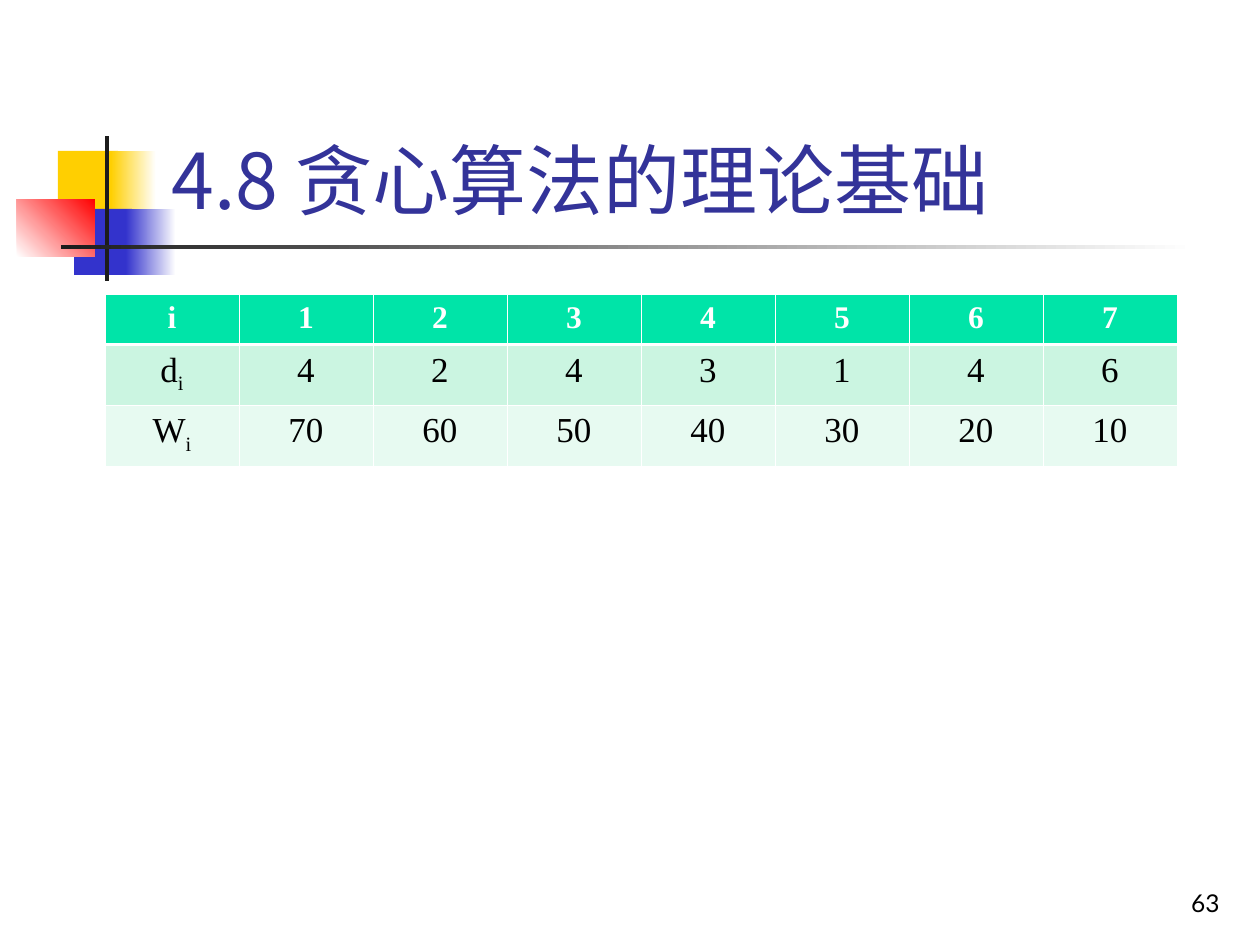
from dataclasses import dataclass
from typing import Optional

import pptx
import pptx.dml.color
import pptx.enum.shapes
import pptx.enum.text
import pptx.oxml.ns
import pptx.util
from lxml import etree

EMU_PER_PX = 914400 / 126
COLORS = {
    "yellow": "FFCF01",
    "blue": "3333CC",
    "red": "FF0000",
    "dark": "1C1C1C",
    "white": "FFFFFF",
    "black": "000000",
    "title": "333399",
    "header": "00E4A8",
    "band_dark": "CBF5E1",
    "band_light": "E7FAF1",
}
THIN, THICK = 0.45, 1.47
COLUMN_WIDTH = 134


@dataclass
class Block:
    left: int
    top: int
    width: int
    height: int
    color: str
    end_color: Optional[str] = None
    angle: int = 0


@dataclass
class TableRow:
    label: str
    subscript: str
    values: list[int]
    height: int
    fill: str
    text_color: str
    size: int
    bold: bool
    top_border: float
    bottom_border: float


BLOCKS = [
    Block(58, 151, 60, 66, "yellow"),
    Block(111, 151, 45, 66, "yellow", "white"),
    Block(74, 209, 58, 66, "blue"),
    Block(126, 209, 50, 66, "blue", "white"),
    Block(17, 199, 78, 58, "white", "red", 45),
    Block(105, 136, 4, 145, "dark"),
    Block(61, 245, 1134, 4, "dark", "white"),
]
ROWS = [
    TableRow("i", "", [1, 2, 3, 4, 5, 6, 7], 50, "header", "white", 18, True, THIN, THICK),
    TableRow("d", "i", [4, 2, 4, 3, 1, 4, 6], 60, "band_dark", "black", 20, False, THICK, THIN),
    TableRow("W", "i", [70, 60, 50, 40, 30, 20, 10], 61, "band_light", "black", 20, False, THIN, THIN),
]


def px(value: int) -> int:
    return round(value * EMU_PER_PX)


def rgb(name: str) -> pptx.dml.color.RGBColor:
    return pptx.dml.color.RGBColor.from_string(COLORS[name])


def set_font(paragraph, name: str, size: int, color: str, bold: bool = False) -> None:
    font = paragraph.font
    font.name = name
    font.size = pptx.util.Pt(size)
    font.bold = bold
    font.color.rgb = rgb(color)
    properties = paragraph._p.pPr.find(pptx.oxml.ns.qn("a:defRPr"))
    etree.SubElement(properties, pptx.oxml.ns.qn("a:ea"), typeface=name)


def draw_block(slide, block: Block) -> None:
    shape = slide.shapes.add_shape(
        pptx.enum.shapes.MSO_SHAPE.RECTANGLE,
        px(block.left), px(block.top), px(block.width), px(block.height),
    )
    shape.shadow.inherit = False
    shape.line.fill.background()
    if block.end_color is None:
        shape.fill.solid()
        shape.fill.fore_color.rgb = rgb(block.color)
        return
    shape.fill.gradient()
    shape.fill.gradient_angle = block.angle
    for stop, color, position in zip(
        shape.fill.gradient_stops, (block.color, block.end_color), (0, 1)
    ):
        stop.color.rgb = rgb(color)
        stop.position = position


def draw_title(slide, text: str) -> None:
    title = slide.shapes.title
    title.left, title.top, title.width, title.height = px(159), px(29), px(1074), px(202)
    frame = title.text_frame
    frame.text = text
    frame.vertical_anchor = pptx.enum.text.MSO_ANCHOR.BOTTOM
    paragraph = frame.paragraphs[0]
    paragraph.alignment = pptx.enum.text.PP_ALIGN.LEFT
    set_font(paragraph, "Noto Sans CJK SC", 44, "title")


def draw_page_number(slide, number: int) -> None:
    box = slide.shapes.add_textbox(px(970), px(861), px(262), px(63))
    frame = box.text_frame
    frame.word_wrap = True
    frame.vertical_anchor = pptx.enum.text.MSO_ANCHOR.BOTTOM
    paragraph = frame.paragraphs[0]
    paragraph.text = str(number)
    paragraph.alignment = pptx.enum.text.PP_ALIGN.RIGHT
    set_font(paragraph, "Lato", 14, "black")


def set_borders(cell, row: TableRow) -> None:
    properties = cell._tc.get_or_add_tcPr()
    widths = {"lnL": THIN, "lnR": THIN, "lnT": row.top_border, "lnB": row.bottom_border}
    for tag, width in widths.items():
        line = etree.SubElement(
            properties, pptx.oxml.ns.qn(f"a:{tag}"), w=str(int(pptx.util.Pt(width)))
        )
        fill = etree.SubElement(line, pptx.oxml.ns.qn("a:solidFill"))
        etree.SubElement(fill, pptx.oxml.ns.qn("a:srgbClr"), val=COLORS["white"])


def fill_cell(cell, row: TableRow, text: str, subscript: str = "") -> None:
    set_borders(cell, row)
    cell.fill.solid()
    cell.fill.fore_color.rgb = rgb(row.fill)
    paragraph = cell.text_frame.paragraphs[0]
    paragraph.alignment = pptx.enum.text.PP_ALIGN.CENTER
    paragraph.add_run().text = text
    if subscript:
        run = paragraph.add_run()
        run.text = subscript
        run._r.get_or_add_rPr().set("baseline", "-25000")
    set_font(paragraph, "Times New Roman", row.size, row.text_color, row.bold)


def draw_table(slide, rows: list[TableRow]) -> None:
    column_count = len(rows[0].values) + 1
    table = slide.shapes.add_table(
        len(rows), column_count, px(105), px(294),
        px(COLUMN_WIDTH * column_count), px(sum(row.height for row in rows)),
    ).table
    for column in table.columns:
        column.width = px(COLUMN_WIDTH)
    for row_index, row in enumerate(rows):
        table.rows[row_index].height = px(row.height)
        fill_cell(table.cell(row_index, 0), row, row.label, row.subscript)
        for column_index, value in enumerate(row.values, start=1):
            fill_cell(table.cell(row_index, column_index), row, str(value))


def main() -> None:
    presentation = pptx.Presentation()
    presentation.slide_width = px(1260)
    presentation.slide_height = px(945)
    slide = presentation.slides.add_slide(presentation.slide_layouts[5])
    for block in BLOCKS:
        draw_block(slide, block)
    draw_page_number(slide, 63)
    draw_title(slide, "4.8 贪心算法的理论基础")
    draw_table(slide, ROWS)
    presentation.save("out.pptx")


if __name__ == "__main__":
    main()
